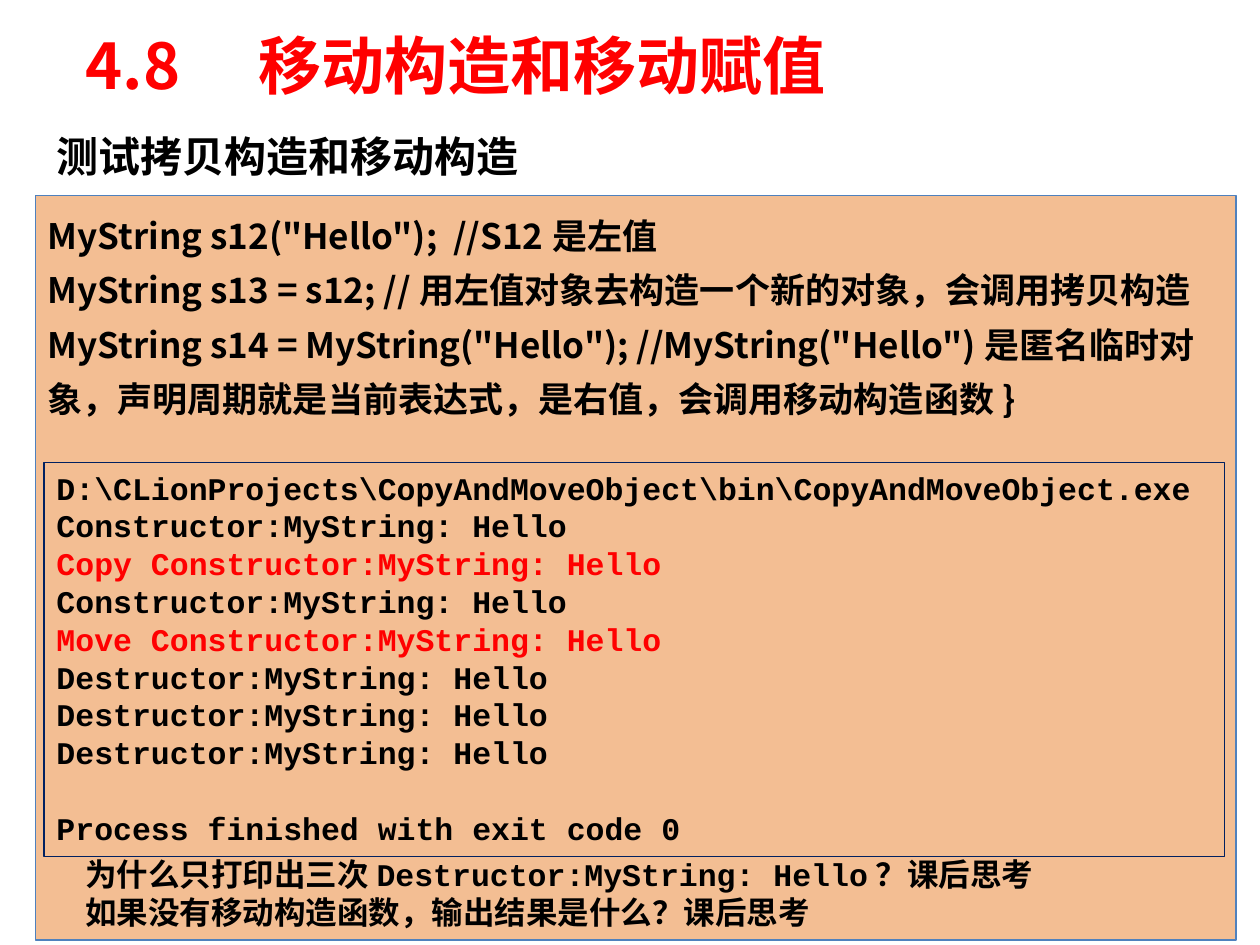
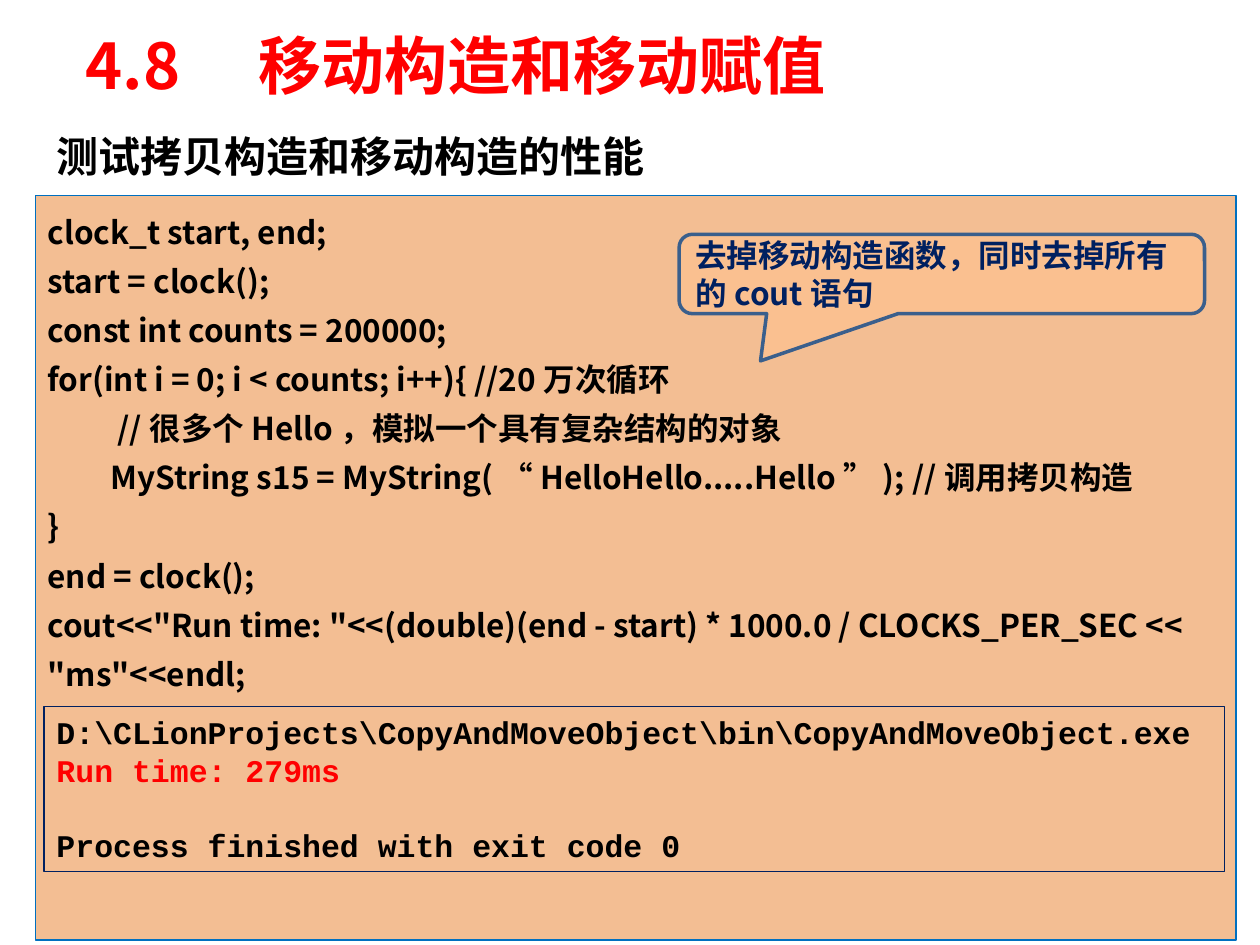
import pptx
import pptx.util
import pptx.dml.color
import pptx.enum.shapes
import pptx.enum.text
import pptx.oxml.ns
import lxml.etree

Inches = pptx.util.Inches
Anchor = pptx.enum.text.MSO_ANCHOR
AutoSize = pptx.enum.text.MSO_AUTO_SIZE
ShapeKind = pptx.enum.shapes.MSO_SHAPE

BLACK, RED, NAVY = "000000", "FF0000", "002060"
SANS, TITLE_FONT, MONO = "Noto Sans CJK JP", "Noto Sans CJK SC", "Courier New"
OUTPUT_LINE_HEIGHT = 21.6

TITLE = "4.8\u3000移动构造和移动赋值".replace("\u3000", "　")
TITLE_BOX = (0.58, 0.05, 8.5, 0.92)
PANEL_BOX = (0.28, 1.55, 9.53, 5.91)
PROGRAM = r"D:\CLionProjects\CopyAndMoveObject\bin\CopyAndMoveObject.exe"
FINISHED = "Process finished with exit code 0"

SLIDES = [
    {
        "heading": "测试拷贝构造和移动构造",
        "heading_width": 3.9,
        "panel_line": "4F81BD",
        "code_size": 20,
        "code": [
            'MyString s12("Hello");  //S12是左值',
            "MyString s13 = s12; //用左值对象去构造一个新的对象，会调用拷贝构造",
            'MyString s14 = MyString("Hello"); //MyString("Hello")是匿名临时对象，'
            "声明周期就是当前表达式，是右值，会调用移动构造函数}",
        ],
        "output_box": (0.35, 3.67, 9.37, 3.13),
        "output": [
            "Constructor:MyString: Hello",
            "Copy Constructor:MyString: Hello",
            "Constructor:MyString: Hello",
            "Move Constructor:MyString: Hello",
        ] + ["Destructor:MyString: Hello"] * 3,
        "highlights": ("Copy", "Move"),
        "questions": [
            "为什么只打印出三次Destructor:MyString: Hello？课后思考",
            "如果没有移动构造函数，输出结果是什么？课后思考",
        ],
    },
    {
        "heading": "测试拷贝构造和移动构造的性能",
        "heading_width": 4.91,
        "panel_line": "0070C0",
        "code_size": 18,
        "code": [
            "clock_t start, end;",
            "start = clock();",
            "const int counts = 200000;",
            "for(int i = 0; i < counts; i++){ //20万次循环",
            "\t //很多个Hello，模拟一个具有复杂结构的对象",
            "\tMyString s15 = MyString(“HelloHello.....Hello”); //调用拷贝构造",
            "}",
            "end = clock();",
            'cout<<"Run time: "<<(double)(end - start) * 1000.0 / CLOCKS_PER_SEC << "ms"<<endl;',
        ],
        "output_box": (0.35, 5.61, 9.37, 1.31),
        "output": ["Run time: 279ms"],
        "highlights": ("Run time",),
        "callout": "去掉移动构造函数，同时去掉所有的cout语句",
    },
]


def color(value):
    return pptx.dml.color.RGBColor.from_string(value)


def apply_format(target, values):
    for name, value in values.items():
        setattr(target, name, value)


def write(shape, lines, size, font, line_colors, spacing=None, anchor=Anchor.TOP,
          wrap=True, auto_size=AutoSize.NONE):
    frame = shape.text_frame
    apply_format(frame, {"word_wrap": wrap, "auto_size": auto_size, "vertical_anchor": anchor})
    for index, (line, line_color) in enumerate(zip(lines, line_colors)):
        paragraph = frame.paragraphs[0] if index == 0 else frame.add_paragraph()
        apply_format(paragraph, {"alignment": pptx.enum.text.PP_ALIGN.LEFT, "line_spacing": spacing})
        run = paragraph.add_run()
        run.text = line
        apply_format(run.font, {"name": font, "size": pptx.util.Pt(size), "bold": True})
        run.font.color.rgb = color(line_color)
        east_asian = lxml.etree.Element(pptx.oxml.ns.qn("a:ea"), typeface=TITLE_FONT)
        run.font._element.find(pptx.oxml.ns.qn("a:latin")).addnext(east_asian)


def add_shape(slide, kind, box, line, line_width, fill=None, alpha=None):
    shape = slide.shapes.add_shape(kind, *map(Inches, box))
    shape.shadow.inherit = False
    shape.line.color.rgb = color(line)
    shape.line.width = pptx.util.Pt(line_width)
    if fill is None:
        shape.fill.background()
        return shape
    shape.fill.solid()
    shape.fill.fore_color.rgb = color(fill)
    if alpha is not None:
        fill_color = shape._element.spPr.find(".//" + pptx.oxml.ns.qn("a:srgbClr"))
        lxml.etree.SubElement(fill_color, pptx.oxml.ns.qn("a:alpha"), val=str(alpha * 1000))
    return shape


def add_text(slide, box, lines, size, font, **options):
    textbox = slide.shapes.add_textbox(*map(Inches, box))
    write(textbox, lines, size, font, [BLACK] * len(lines), **options)


def add_output(slide, content):
    lines = [PROGRAM, *content["output"], FINISHED]
    colors = [RED if line.startswith(content["highlights"]) else BLACK for line in lines]
    shape = add_shape(slide, ShapeKind.RECTANGLE, content["output_box"], NAVY, 0.75)
    write(shape, lines, 18, MONO, colors)
    shape.text_frame.paragraphs[-1].space_before = pptx.util.Pt(OUTPUT_LINE_HEIGHT)


def add_callout(slide, text):
    shape = add_shape(slide, ShapeKind.ROUNDED_RECTANGULAR_CALLOUT,
                      (5.39, 1.86, 4.17, 0.63), "3A5F8C", 2, "FAC090")
    for index, value in enumerate((-0.345, 1.095, 0.167)):
        shape.adjustments[index] = value
    write(shape, [text], 18, SANS, [NAVY], anchor=Anchor.MIDDLE)


def build_slide(presentation, content):
    slide = presentation.slides.add_slide(presentation.slide_layouts[5])
    title = slide.shapes.title
    apply_format(title, dict(zip(("left", "top", "width", "height"), map(Inches, TITLE_BOX))))
    write(title, [TITLE], 36, TITLE_FONT, [RED], anchor=Anchor.MIDDLE)

    panel = add_shape(slide, ShapeKind.RECTANGLE, PANEL_BOX, content["panel_line"], 0.75, "E46C0A", 44)
    write(panel, content["code"], content["code_size"], SANS, [BLACK] * len(content["code"]), spacing=1.3)
    add_text(slide, (0.35, 0.99, content["heading_width"], 0.5), [content["heading"]], 24, SANS,
             wrap=False, auto_size=AutoSize.SHAPE_TO_FIT_TEXT)
    if "callout" in content:
        add_callout(slide, content["callout"])
    add_output(slide, content)
    if "questions" in content:
        add_text(slide, (0.58, 6.74, 8.12, 0.71), content["questions"], 18, MONO)


def main():
    presentation = pptx.Presentation()
    presentation.slide_width = Inches(10)
    presentation.slide_height = Inches(7.5)
    for content in SLIDES:
        build_slide(presentation, content)
    presentation.save("out.pptx")


if __name__ == "__main__":
    main()
